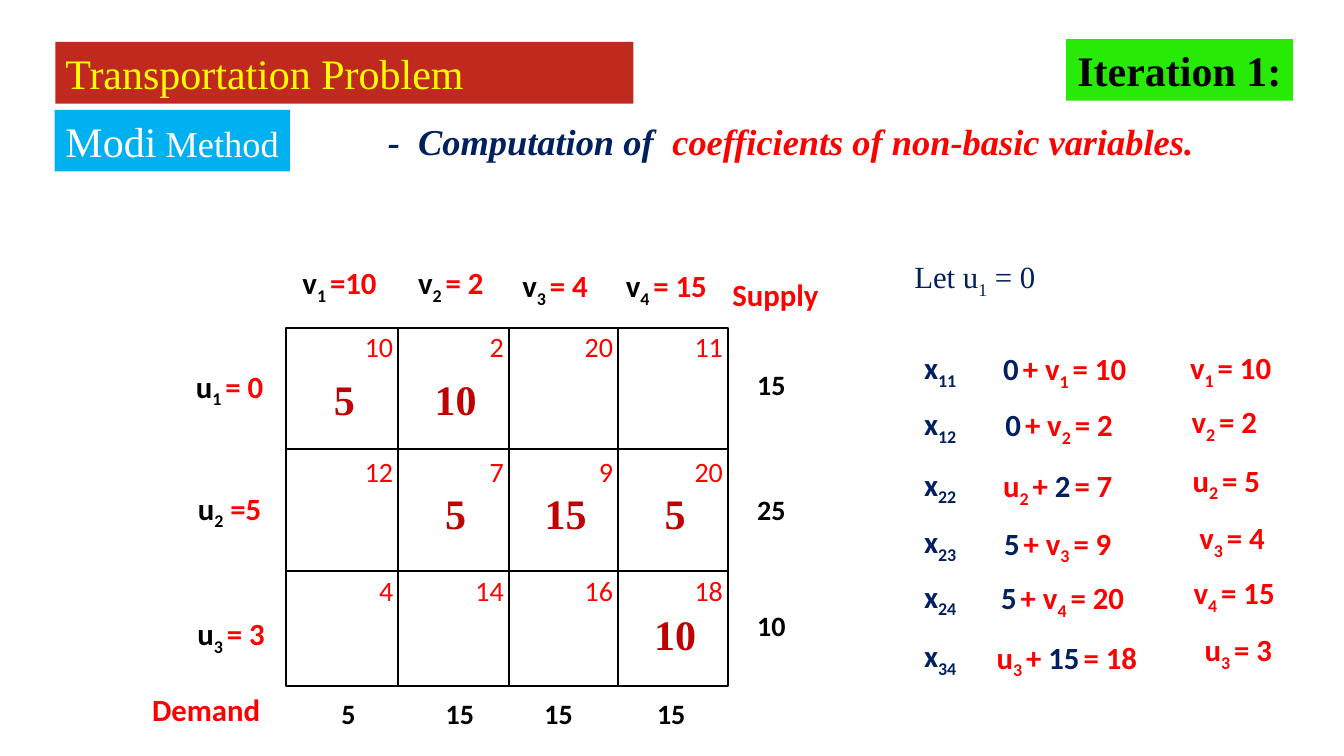
from pptx import Presentation
from pptx.dml.color import RGBColor
from pptx.enum.shapes import MSO_SHAPE
from pptx.enum.text import MSO_ANCHOR, MSO_AUTO_SIZE, PP_ALIGN
from pptx.util import Pt

RECT = MSO_SHAPE.RECTANGLE
MIDDLE = MSO_ANCHOR.MIDDLE
FIXED = MSO_AUTO_SIZE.NONE
LEFT, CENTER, RIGHT = PP_ALIGN.LEFT, PP_ALIGN.CENTER, PP_ALIGN.RIGHT

RED, NAVY, BLACK, WHITE = "FF0000", "002060", "000000", "FFFFFF"
DARK, YELLOW, BRICK, GREEN, BLUE = "C00000", "FFFF00", "C02A1E", "27EA06", "00B0F0"

SANS, SERIF = "Calibri", "Times New Roman"
HEAD = {"name": SERIF, "size": Pt(30), "bold": False}
STRONG = {**HEAD, "bold": True}
SMALL = {**HEAD, "size": Pt(26)}
TOPIC = {**SMALL, "bold": True, "italic": True}
NOTE = {**HEAD, "size": Pt(22)}
TERM = {"name": SANS, "size": Pt(22), "bold": True}
TOTAL = {**TERM, "size": Pt(20)}
COST = {**TOTAL, "bold": False}

# Edges of the tableau, then the vertical centres of its costs and amounts
COLS = (204.5, 284.5, 363.5, 441.5, 520)
ROWS = (234, 321, 408, 490)
COST_Y = (247.5, 336.5, 421.5)
AMOUNT_Y = (284.5, 366, 452.5)
COSTS = ((10, 2, 20, 11), (12, 7, 9, 20), (4, 14, 16, 18))
AMOUNTS = ((5, 10, None, None), (None, 5, 15, 5), (None, None, None, 10))

# Centre, width, variable and value of each multiplier
DUALS = (
    (242.5, 203.5, 70, "v|1 |", "=10"),
    (322, 203.5, 68, "v|2 |", "= 2"),
    (396.5, 205.5, 68, "v|3 |", "= 4"),
    (476, 205.5, 78, "v|4 |", "= 15"),
    (164, 277.5, 67, "u|1 |", "= 0"),
    (164, 364.5, 61, "u|2|", " =5"),
    (165, 454, 64, "u|3 |", "= 3"),
)
SUPPLY = ((274.5, 15), (363.5, 25), (446.5, 10))
DEMAND = ((249, 5), (328.5, 15), (399, 15), (479.5, 15))

# Row centre, cell, equation centre and runs, result centre and text
STEPS = (
    (264, "11", 760.5, (("0| |", NAVY), ("+ v|1 |= 10", RED)), 879, 264, "v|1 |= 10"),
    (304, "12", 756.5, (("0| |", NAVY), ("+ v|2 |= 2", RED)), 874.5, 303, "v|2 |= 2"),
    (347.5, "22", 755.5, (("u|2 |+ ", RED), ("2| |", NAVY), ("= 7", RED)), 876, 344.5, "u|2 |= 5"),
    (388.5, "23", 755.5, (("5| |", NAVY), ("+ v|3 |= 9", RED)), 880, 385.5, "v|3 |= 4"),
    (427.5, "24", 759, (("5| |", NAVY), ("+ v|4 |= 20", RED)), 881.5, 425, "v|4 |= 15"),
    (470, "34", 762, (("u|3 |+ ", RED), ("15| |", NAVY), ("= 18", RED)), 884.5, 465.5, "u|3 |= 3"),
)


def color(code):
    return RGBColor.from_string(code)


def paint(shape, code):
    shape.fill.solid()
    shape.fill.fore_color.rgb = color(code)


def add_runs(para, text, code, form):
    """Add text to a paragraph; pieces between bars become subscripts."""
    for i, piece in enumerate(text.split("|")):
        if not piece:
            continue
        run = para.add_run()
        run.text = piece
        for key, value in form.items():
            setattr(run.font, key, value)
        run.font.color.rgb = color(code)
        if i % 2:
            run._r.get_or_add_rPr().set("baseline", "-25000")


def write(shape, runs, form, align=LEFT, wrap=True):
    """Fill a shape with runs of (text, colour) or (text, colour, format)."""
    frame = shape.text_frame
    frame.auto_size = FIXED
    frame.word_wrap = wrap
    frame.vertical_anchor = MIDDLE
    para = frame.paragraphs[0]
    para.alignment = align
    for text, code, *own in runs:
        add_runs(para, text, code, own[0] if own else form)


def add_text(slide, area, runs, form, align=LEFT, wrap=True, fill=None):
    box = slide.shapes.add_textbox(*map(Pt, area))
    if fill:
        paint(box, fill)
    write(box, runs, form, align, wrap)


def add_label(slide, x, y, width, runs, form, height=50, fill=None):
    """Put one centred line of text around the point x, y."""
    area = (x - width / 2, y - height / 2, width, height)
    add_text(slide, area, runs, form, CENTER, False, fill)


def add_term(slide, x, y, width, runs):
    add_label(slide, x, y, width, runs, TERM, fill=WHITE)


def add_title(slide):
    title = slide.shapes.title
    area = {"left": 39.5, "top": 30, "width": 413, "height": 44}
    for key, value in area.items():
        setattr(title, key, Pt(value))
    paint(title, BRICK)
    write(title, [("Transportation Problem", YELLOW)], HEAD)


def add_cell(slide, row, col):
    left, right = COLS[col:col + 2]
    top, low = ROWS[row:row + 2]
    cell = slide.shapes.add_shape(RECT, *map(Pt, (left, top, right - left, low - top)))
    cell.shadow.inherit = False
    paint(cell, WHITE)
    cell.line.color.rgb = color(BLACK)
    cell.line.width = Pt(1.5)


def add_values(slide, row, col):
    """Write the cost in the corner of a cell and the amount in its middle."""
    left, right = COLS[col:col + 2]
    corner = (right - 36.5, COST_Y[row] - 18, 40, 36)
    add_text(slide, corner, [(str(COSTS[row][col]), RED)], COST, RIGHT, False)
    amount = AMOUNTS[row][col]
    if amount is not None:
        x = (left + right) / 2 + 1.5
        add_label(slide, x, AMOUNT_Y[row], 47, [(str(amount), DARK)], STRONG, 36)


def add_grid(slide):
    spots = [(row, col) for row in range(3) for col in range(4)]
    for draw in (add_cell, add_values):
        for row, col in spots:
            draw(slide, row, col)


def add_margins(slide):
    for x, y, width, name, value in DUALS:
        add_term(slide, x, y, width, [(name, BLACK), (value, RED)])
    for y, total in SUPPLY:
        add_label(slide, 551, y, 39, [(str(total), BLACK)], TOTAL)
    for x, total in DEMAND:
        add_label(slide, x, 509.5, 39, [(str(total), BLACK)], TOTAL)
    add_text(slide, (516, 193, 90, 34), [("Supply", RED)], TERM)
    add_text(slide, (101.5, 489.5, 104, 34), [("Demand", RED)], TERM)


def add_steps(slide):
    add_text(slide, (646, 182, 312, 34), [("Let u|1| = 0", NAVY)], NOTE)
    for y, cell, mid, terms, end, level, result in STEPS:
        add_term(slide, 671.5, y, 46, [(f"x|{cell}|", NAVY)])
        add_term(slide, mid, y + 1, 115, terms)
        add_term(slide, end, level, 115, [(result, RED)])


def main():
    deck = Presentation()
    deck.slide_width, deck.slide_height = Pt(960), Pt(540)
    slide = deck.slides.add_slide(deck.slide_layouts[5])
    add_title(slide)
    add_text(slide, (39, 78.5, 168, 44),
             [("Modi", WHITE), (" Method", WHITE, SMALL)], HEAD, CENTER, False, BLUE)
    add_text(slide, (761.5, 28, 162, 44),
             [("Iteration 1:", BLACK)], STRONG, CENTER, False, GREEN)
    add_text(slide, (270, 81.5, 590, 39),
             [("-  Computation of ", NAVY),
              (" coefficients of non-basic variables.", RED)], TOPIC, CENTER, False)
    add_grid(slide)
    add_margins(slide)
    add_steps(slide)
    deck.save("out.pptx")


if __name__ == "__main__":
    main()
